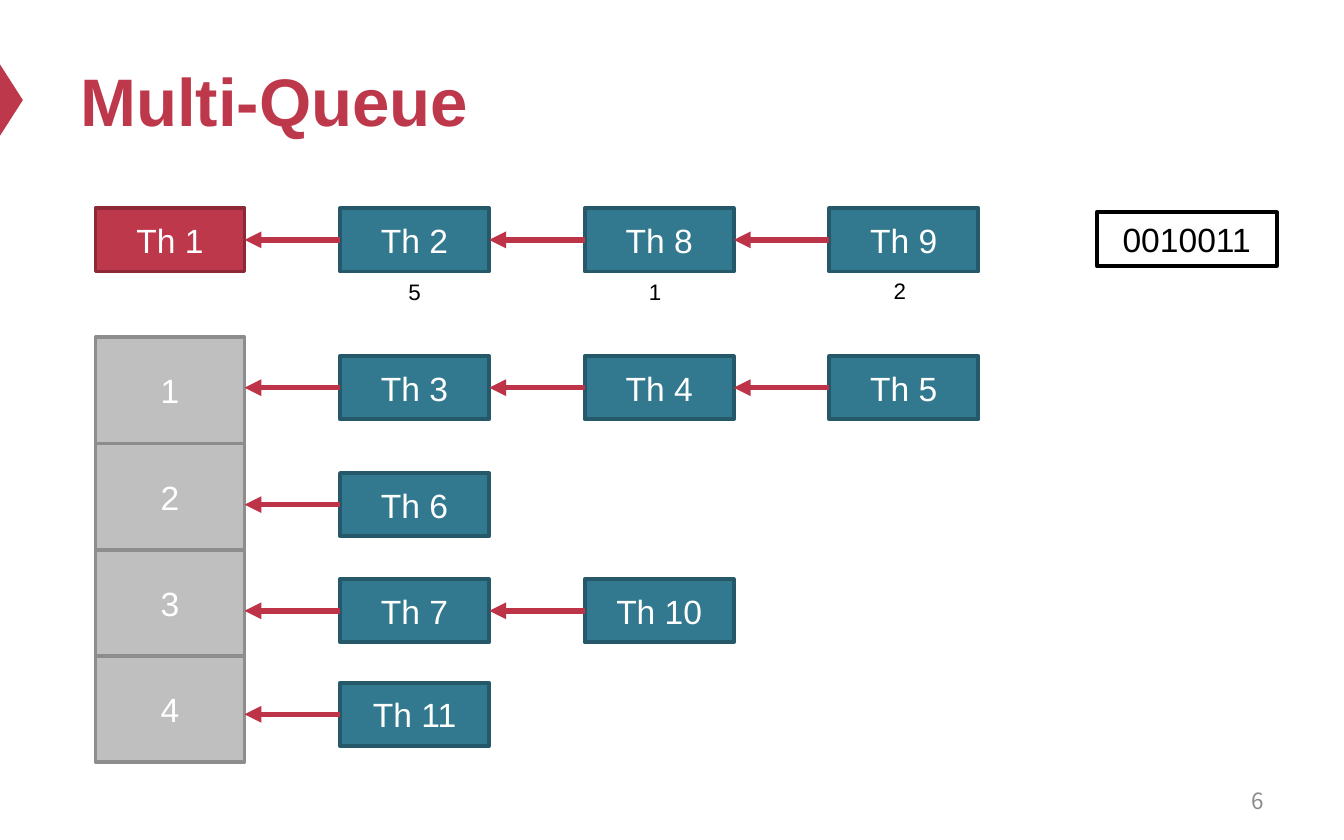
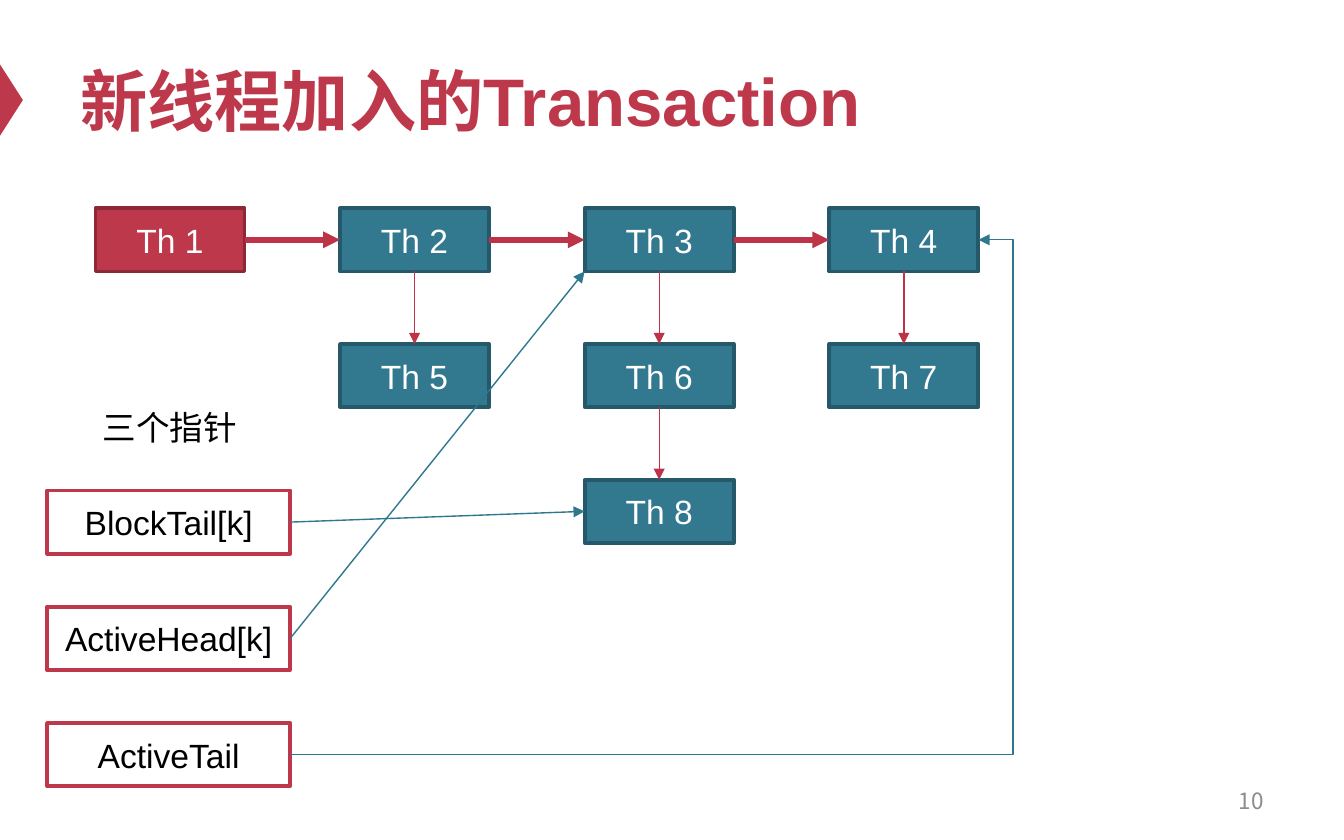
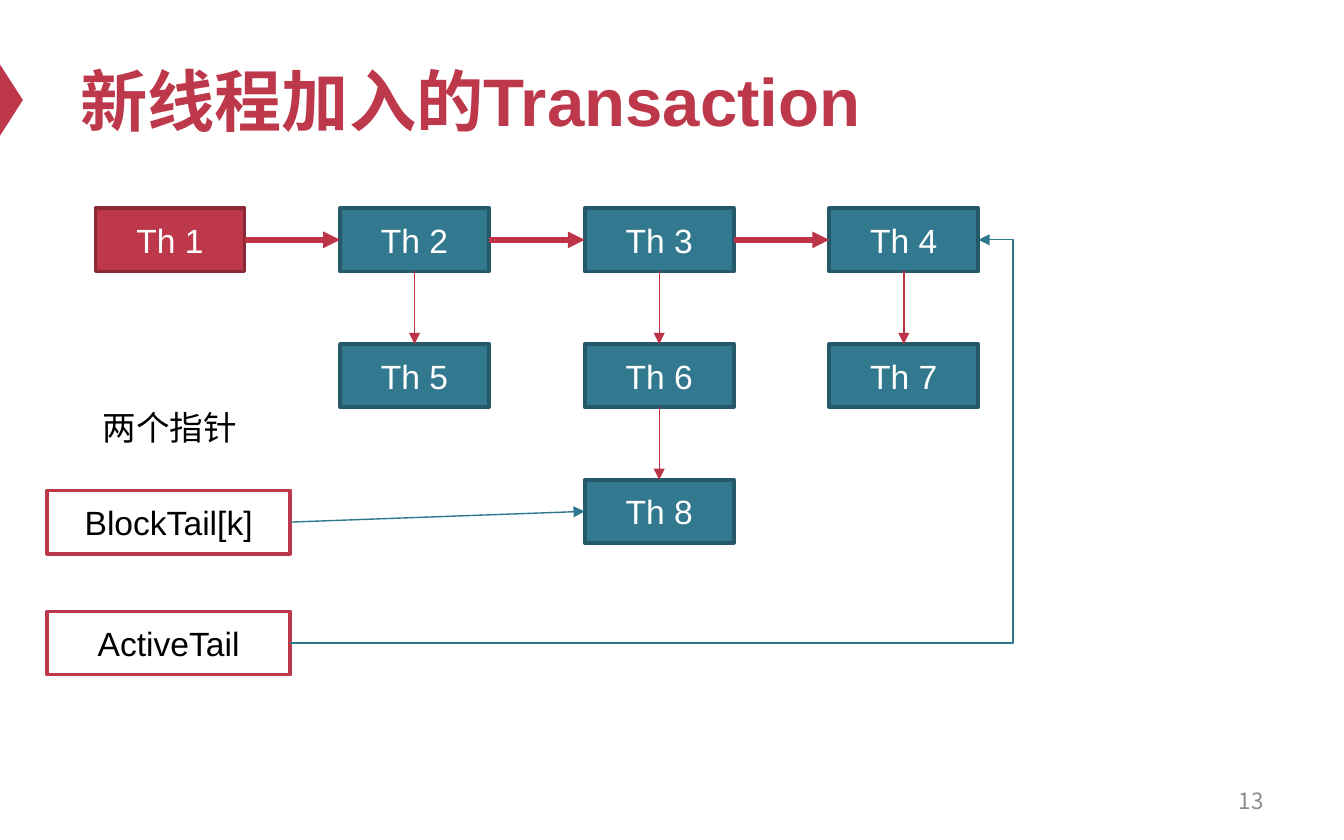
from lxml import etree
from pptx import Presentation
from pptx.dml.color import RGBColor
from pptx.enum.shapes import MSO_CONNECTOR, MSO_SHAPE
from pptx.enum.text import MSO_ANCHOR, MSO_AUTO_SIZE, PP_ALIGN
from pptx.oxml.ns import qn
from pptx.util import Inches, Pt

RECTANGLE, TRIANGLE = MSO_SHAPE.RECTANGLE, MSO_SHAPE.ISOSCELES_TRIANGLE
STRAIGHT, ELBOW = MSO_CONNECTOR.STRAIGHT, MSO_CONNECTOR.ELBOW
TOP_ANCHOR, MIDDLE = MSO_ANCHOR.TOP, MSO_ANCHOR.MIDDLE
LEFT, CENTER, RIGHT = PP_ALIGN.LEFT, PP_ALIGN.CENTER, PP_ALIGN.RIGHT
NO_FIT, GROW = MSO_AUTO_SIZE.NONE, MSO_AUTO_SIZE.SHAPE_TO_FIT_TEXT
TOP_SIDE, LEFT_SIDE, BOTTOM_SIDE, RIGHT_SIDE = range(4)

RED = RGBColor(0xBE, 0x38, 0x4B)
DARK_RED = RGBColor(0x8D, 0x29, 0x37)
ARROW_RED = RGBColor(0xBD, 0x33, 0x47)
TEAL = RGBColor(0x32, 0x78, 0x8E)
DARK_TEAL = RGBColor(0x25, 0x59, 0x69)
ARROW_TEAL = RGBColor(0x2F, 0x77, 0x8D)
SILVER = RGBColor(0xBF, 0xBF, 0xBF)
GRAY = RGBColor(0x8D, 0x8D, 0x8D)
NUMBER_GRAY = RGBColor(0x8C, 0x8C, 0x8C)
WHITE = RGBColor(0xFF, 0xFF, 0xFF)
BLACK = RGBColor(0, 0, 0)

LATIN_FONT, ASIAN_FONT = "Arial", "Noto Sans CJK SC"
PAGE_WIDTH, PAGE_HEIGHT = 10, 6.25
GRID_LEFT, GRID_TOP, COLUMN_STEP, TREE_STEP = 0.71, 1.55, 1.82, 1.01
BOX_WIDTH, BOX_HEIGHT = 1.11, 0.47
SLOT_TOP, SLOT_HEIGHT = 2.51, 0.79
POINTER_LEFT, POINTER_TOP, POINTER_WIDTH = 0.35, 3.65, 1.81
BOLD_ARROW = {"color": ARROW_RED, "width": Pt(3)}
THIN_ARROW = {"color": ARROW_RED, "width": Pt(0.75)}
POINTER_ARROW = {"color": ARROW_TEAL, "width": Pt(0.75)}

RUNNING = {"fill": RED, "edge": DARK_RED, "ink": WHITE}
WAITING = {"fill": TEAL, "edge": DARK_TEAL, "ink": WHITE}
SLOT = {"fill": SILVER, "edge": GRAY, "ink": WHITE}
BITMAP = {"fill": WHITE, "edge": BLACK, "ink": BLACK}
POINTER = {"fill": WHITE, "edge": RED, "ink": BLACK}


def column_left(column):
    return GRID_LEFT + column * COLUMN_STEP


def write(shape, text, color, size=18, bold=False, font=LATIN_FONT,
          align=CENTER, anchor=MIDDLE, fit=NO_FIT):
    frame = shape.text_frame
    frame_format = {"word_wrap": True, "auto_size": fit, "vertical_anchor": anchor}
    for name, value in frame_format.items():
        setattr(frame, name, value)
    para = frame.paragraphs[0]
    para.alignment = align
    span = para.add_run()
    span.text = text
    for name, value in {"name": font, "size": Pt(size), "bold": bold}.items():
        setattr(span.font, name, value)
    span.font.color.rgb = color
    asian = etree.SubElement(span.font._element, qn("a:ea"))
    asian.set("typeface", ASIAN_FONT)


def add_text(page, area, text, color, **text_format):
    box = page.shapes.add_textbox(*map(Inches, area))
    write(box, text, color, **text_format)


def add_label(page, area, text, size):
    add_text(page, area, text, BLACK, size=size, anchor=TOP_ANCHOR, fit=GROW)


def add_plain_shape(page, preset, area, fill):
    shape = page.shapes.add_shape(preset, *map(Inches, area))
    shape.shadow.inherit = False
    shape.fill.solid()
    shape.fill.fore_color.rgb = fill
    return shape


def add_box(page, area, text, style):
    box = add_plain_shape(page, RECTANGLE, area, style["fill"])
    box.line.color.rgb = style["edge"]
    box.line.width = Pt(2)
    write(box, text, style["ink"])
    return box


def add_thread(page, column, top, number):
    style = RUNNING if number == 1 else WAITING
    area = column_left(column), top, BOX_WIDTH, BOX_HEIGHT
    return add_box(page, area, f"Th {number}", style)


def add_arrow(page, source, source_side, target, target_side, look, kind=STRAIGHT, bend=None):
    arrow = page.shapes.add_connector(kind, 0, 0, 0, 0)
    arrow.begin_connect(source, source_side)
    if target_side is None:
        arrow.end_x, arrow.end_y = target
    else:
        arrow.end_connect(target, target_side)
    arrow.line.color.rgb = look["color"]
    arrow.line.width = look["width"]
    properties = arrow._element.spPr
    head = etree.SubElement(arrow.line._get_or_add_ln(), qn("a:tailEnd"))
    head.set("type", "triangle")
    etree.SubElement(properties, qn("a:effectLst"))
    if bend is not None:
        guide = etree.SubElement(properties.find(".//" + qn("a:avLst")), qn("a:gd"))
        guide.set("name", "adj1")
        guide.set("fmla", f"val {round(bend * 100000)}")


def add_page(deck, title, number):
    page = deck.slides.add_slide(deck.slide_layouts[6])
    marker = add_plain_shape(page, TRIANGLE, (-0.18, 0.66, 0.53, 0.17), RED)
    marker.rotation = 90
    marker.line.fill.background()
    add_text(page, (0.5, 0.25, 0.9 * PAGE_WIDTH, 0.98), title, RED,
             size=36, bold=True, align=LEFT)
    add_text(page, (7.17, 5.79, 2.33, 0.33), str(number), NUMBER_GRAY,
             size=12, font=ASIAN_FONT, align=RIGHT)
    return page


def add_waiting_queue(page, top, numbers):
    previous = None
    for column, number in enumerate(numbers, start=1):
        thread = add_thread(page, column, top, number)
        if previous is None:
            middle = thread.top + thread.height // 2
            front = Inches(GRID_LEFT + BOX_WIDTH), middle
            add_arrow(page, thread, LEFT_SIDE, front, None, BOLD_ARROW)
        else:
            add_arrow(page, thread, LEFT_SIDE, previous, RIGHT_SIDE, BOLD_ARROW)
        previous = thread


def add_multi_queue_page(deck):
    page = add_page(deck, "Multi-Queue", 6)
    add_thread(page, 0, GRID_TOP, 1)
    for slot in range(4):
        area = GRID_LEFT, SLOT_TOP + slot * SLOT_HEIGHT, BOX_WIDTH, SLOT_HEIGHT
        add_box(page, area, str(slot + 1), SLOT)
    queues = {GRID_TOP: (2, 8, 9), 2.65: (3, 4, 5), 3.52: (6,), 4.31: (7, 10), 5.08: (11,)}
    for top, numbers in queues.items():
        add_waiting_queue(page, top, numbers)
    add_box(page, (8.16, 1.58, 1.34, 0.4), "0010011", BITMAP)
    for text, left, top in (("5", 2.73, 2.02), ("1", 4.52, 2.02), ("2", 6.34, 2.01)):
        add_label(page, (left, top, 0.71, 0.3), text, 12)


def add_transaction_page(deck, number, caption, pointer_names, pointer_step):
    page = add_page(deck, "新线程加入的Transaction", number)
    threads = {}
    for column, chain in enumerate(((1,), (2, 5), (3, 6, 8), (4, 7))):
        for row, thread in enumerate(chain):
            threads[thread] = add_thread(page, column, GRID_TOP + row * TREE_STEP, thread)
        for upper, lower in zip(chain, chain[1:]):
            add_arrow(page, threads[upper], BOTTOM_SIDE, threads[lower], TOP_SIDE, THIN_ARROW)
    for thread in (1, 2, 3):
        add_arrow(page, threads[thread], RIGHT_SIDE, threads[thread + 1], LEFT_SIDE, BOLD_ARROW)

    add_label(page, (0.55, 2.98, 1.43, 0.4), caption, 18)
    corner = threads[3].left, threads[3].top + threads[3].height
    routes = {
        "BlockTail[k]": (threads[8], LEFT_SIDE, POINTER_ARROW),
        "ActiveHead[k]": (corner, None, POINTER_ARROW),
        "ActiveTail": (threads[4], RIGHT_SIDE, POINTER_ARROW, ELBOW, 1.05),
    }
    for row, name in enumerate(pointer_names):
        area = POINTER_LEFT, POINTER_TOP + row * pointer_step, POINTER_WIDTH, BOX_HEIGHT
        pointer = add_box(page, area, name, POINTER)
        add_arrow(page, pointer, RIGHT_SIDE, *routes[name])


def main():
    deck = Presentation()
    deck.slide_width, deck.slide_height = Inches(PAGE_WIDTH), Inches(PAGE_HEIGHT)
    add_multi_queue_page(deck)
    add_transaction_page(deck, 10, "三个指针", ("BlockTail[k]", "ActiveHead[k]", "ActiveTail"), 0.865)
    add_transaction_page(deck, 13, "两个指针", ("BlockTail[k]", "ActiveTail"), 0.9)
    deck.save("out.pptx")


if __name__ == "__main__":
    main()
